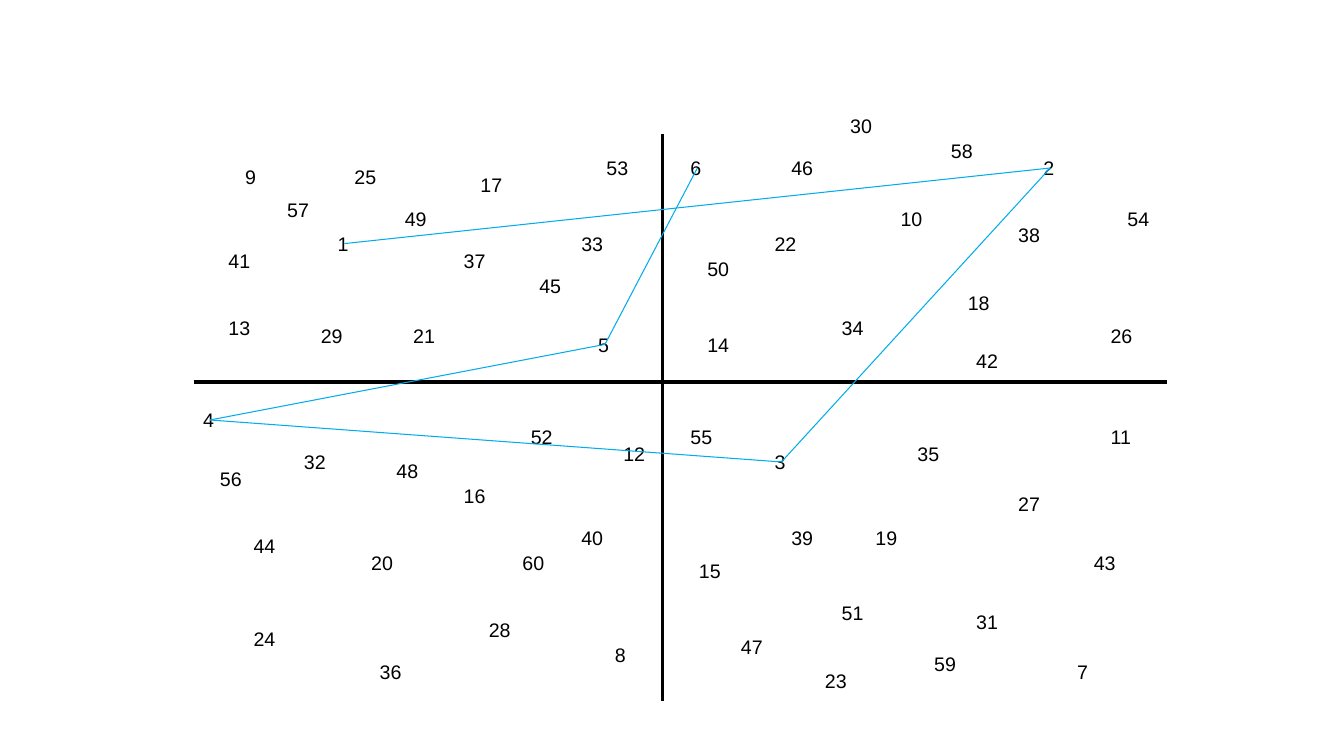
"""Build a slide of sixty scattered numbers in four quadrants, with a line joining the first six."""
from itertools import pairwise

from lxml.etree import SubElement
from pptx import Presentation
from pptx.dml.color import RGBColor
from pptx.enum.shapes import MSO_CONNECTOR
from pptx.enum.text import MSO_AUTO_SIZE
from pptx.oxml.ns import qn
from pptx.util import Inches, Pt

COLORS = {"ink": "000000", "trail": "00ACEB"}
CELL = Inches(1) / 12
CENTER = (78.84, 45.48)
AXIS_ENDS = {"left": 23.04, "right": 138.84, "top": 16, "bottom": 83.4}
TRAIL_LENGTH = 6
TRAIL_OFFSET = 2
WIDE_NUMBER = 23

number_cells = [
    (39, 27), (123, 18), (91, 53), (23, 48), (70, 39), (81, 18),
    (127, 78), (72, 76), (28, 19), (106, 24), (131, 50), (73, 52),
    (26, 37), (83, 39), (82, 66), (54, 57), (56, 20), (114, 34),
    (103, 62), (43, 65), (48, 38), (91, 27), (97, 79), (29, 74),
    (41, 19), (131, 38), (120, 58), (57, 73), (37, 38), (100, 13),
    (115, 72), (35, 53), (68, 27), (99, 37), (108, 52), (44, 78),
    (54, 29), (120, 26), (93, 62), (68, 62), (26, 29), (115, 41),
    (129, 65), (29, 63), (63, 32), (93, 18), (87, 75), (46, 54),
    (47, 24), (83, 30), (99, 71), (62, 50), (71, 18), (133, 24),
    (81, 50), (25, 55), (33, 23), (112, 16), (110, 77), (61, 65),
]

presentation = Presentation()
presentation.slide_width = Inches(13.33)
presentation.slide_height = Inches(7.5)
slide = presentation.slides.add_slide(presentation.slide_layouts[6])


def add_line(start, end, color, width):
    ends = [round(value * CELL) for value in (*start, *end)]
    line = slide.shapes.add_connector(MSO_CONNECTOR.STRAIGHT, *ends)
    line.line.color.rgb = RGBColor.from_string(COLORS[color])
    line.line.width = Pt(width)
    SubElement(line._element.spPr, qn("a:effectLst"))


for number, (column, row) in enumerate(number_cells, start=1):
    width = 0.5 if number == WIDE_NUMBER else 0.31 if number < 10 else 0.42
    label = slide.shapes.add_textbox(
        round(column * CELL), round(row * CELL), Inches(width), Inches(0.34)
    )
    label.name = f"Number {number}"
    label.text_frame.word_wrap = number == WIDE_NUMBER
    label.text_frame.auto_size = MSO_AUTO_SIZE.SHAPE_TO_FIT_TEXT
    paragraph = label.text_frame.paragraphs[0]
    paragraph.text = str(number)
    paragraph.font.name = "Arial"
    paragraph.font.size = Pt(14)
    paragraph.font.color.rgb = RGBColor.from_string(COLORS["ink"])

center_column, center_row = CENTER
add_line((AXIS_ENDS["left"], center_row), (AXIS_ENDS["right"], center_row), "ink", 2.25)
add_line((center_column, AXIS_ENDS["top"]), (center_column, AXIS_ENDS["bottom"]), "ink", 2.25)

trail = [
    (column + TRAIL_OFFSET, row + TRAIL_OFFSET)
    for column, row in number_cells[:TRAIL_LENGTH]
]
for start, end in pairwise(trail):
    add_line(start, end, "trail", 0.75)

presentation.save("out.pptx")
